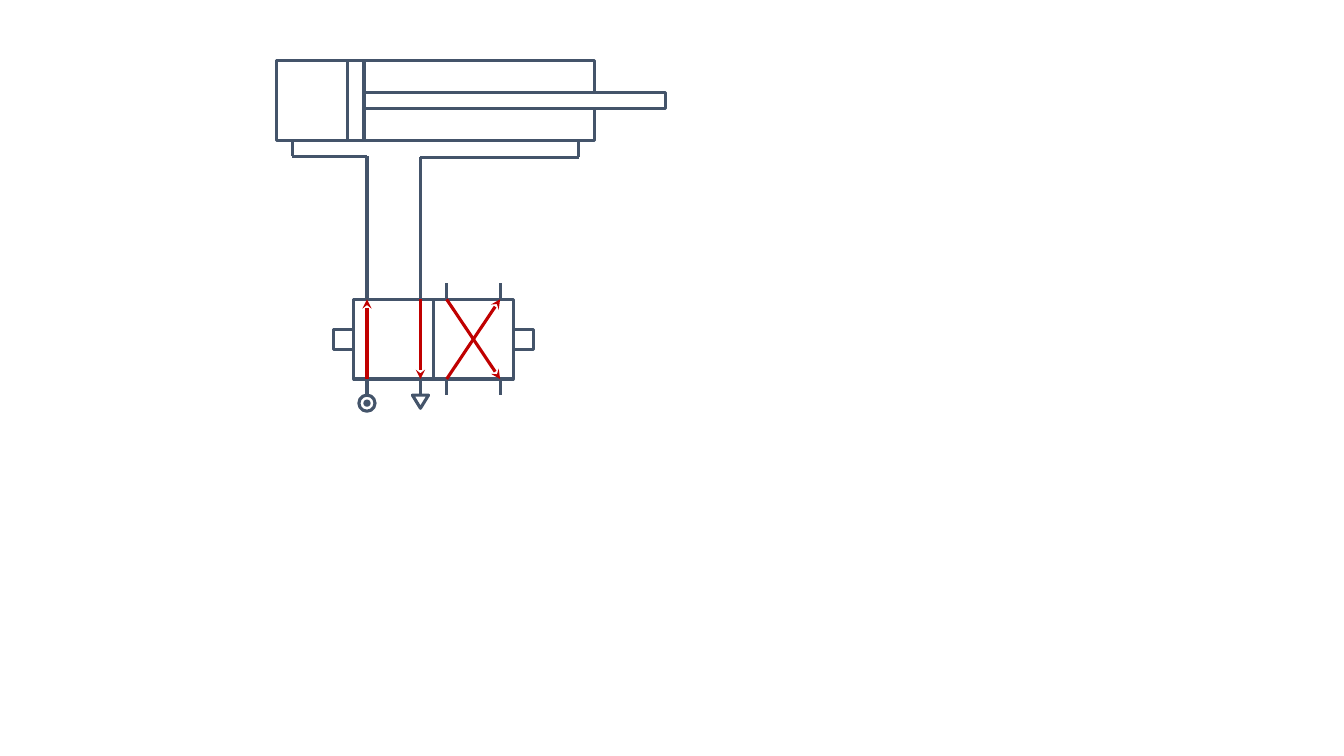
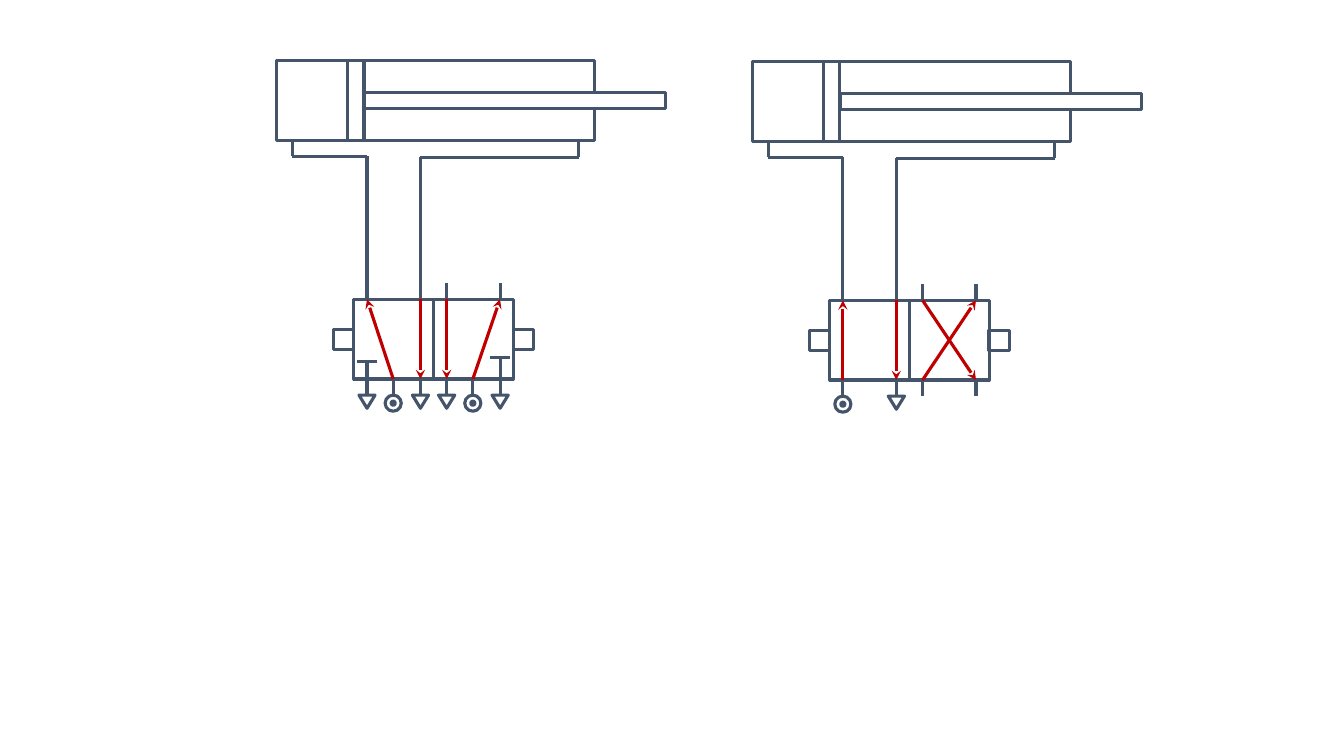
from dataclasses import dataclass

from lxml.etree import SubElement
from pptx import Presentation
from pptx.dml.color import RGBColor
from pptx.enum.shapes import MSO_CONNECTOR as Connector, MSO_SHAPE as Shape
from pptx.oxml.ns import qn
from pptx.util import Inches, Pt


@dataclass(frozen=True)
class Theme:
    ink: str = "44546A"
    flow: str = "C00000"
    paper: str = "FFFFFF"
    line: float = 2.25


THEME = Theme()
SLIDE_SIZE = (13.33, 7.5)

PORTS = {"a": 0.13, "b": 0.39, "c": 0.66, "d": 0.92, "e": 1.18, "f": 1.45}
FOUR_PORT = {
    "leads": "acdf",
    "sources": "a",
    "exhausts": "c",
    "plugs": {},
    "up": ["aa", "df"],
    "down": ["cc", "df"],
}
FIVE_PORT = {
    "leads": "abcdef",
    "sources": "be",
    "exhausts": "acdf",
    "plugs": {"a": 0.62, "f": 0.58},
    "up": ["ba", "ef"],
    "down": ["cc", "dd"],
}
SLIDES = [
    [(FOUR_PORT, 2.74, 0.6)],
    [(FIVE_PORT, 2.74, 0.6), (FOUR_PORT, 7.46, 0.61)],
]

SIDE = 0.79
LEAD = 0.16
ROD_LENGTH = 2.99
BUTTON = 0.2
DOT = 0.04
TRIANGLE_HEIGHT = 0.13
PLUG_WIDTH = 0.2
VALVE_OFFSET = (0.77, 2.37)


def add_box(shapes, kind, left, top, width, height, fill=None, rotation=0):
    shape = shapes.add_shape(kind, *map(Inches, (left, top, width, height)))
    shape.shadow.inherit = False
    shape.rotation = rotation
    if fill:
        shape.fill.solid()
        shape.fill.fore_color.rgb = RGBColor.from_string(fill)
    else:
        shape.fill.background()
    shape.line.color.rgb = RGBColor.from_string(THEME.ink)
    shape.line.width = Pt(THEME.line)


def add_line(shapes, start, end, color=THEME.ink, arrow=False):
    connector = shapes.add_connector(Connector.STRAIGHT, *map(Inches, start + end))
    connector.line.color.rgb = RGBColor.from_string(color)
    connector.line.width = Pt(THEME.line)
    properties = connector._element.spPr
    if arrow:
        SubElement(properties.find(qn("a:ln")), qn("a:tailEnd"), type="stealth")
    SubElement(properties, qn("a:effectLst"))


def add_cylinder(shapes, left, top):
    piston = left + 0.9 * SIDE
    add_box(shapes, Shape.RECTANGLE, left, top, 4 * SIDE, SIDE)
    add_box(shapes, Shape.RECTANGLE, piston, top, LEAD, SIDE)
    add_box(shapes, Shape.RECTANGLE, piston + LEAD, top + (SIDE - LEAD) / 2,
            ROD_LENGTH, LEAD, fill=THEME.paper)


def add_pipes(shapes, left, top):
    valve_left, valve_top = left + VALVE_OFFSET[0], top + VALVE_OFFSET[1]
    bottom = top + SIDE
    for inlet, port, bend in ((0.16, "a", top + 0.95), (3.0, "c", top + 0.96)):
        inlet_x, port_x = left + inlet, valve_left + PORTS[port]
        add_line(shapes, (inlet_x, bottom), (inlet_x, bend))
        add_line(shapes, (inlet_x, bend), (port_x, bend))
        add_line(shapes, (port_x, bend), (port_x, valve_top))


def add_source(shapes, center, top):
    for size, fill in ((LEAD, None), (DOT, THEME.ink)):
        add_box(shapes, Shape.OVAL, center - size / 2, top + (LEAD - size) / 2,
                size, size, fill=fill)


def add_exhaust(shapes, center, top):
    add_box(shapes, Shape.ISOSCELES_TRIANGLE, center - LEAD / 2, top,
            LEAD, TRIANGLE_HEIGHT, rotation=180)


def add_valve(shapes, valve, left, top):
    bottom = top + SIDE
    lead_end = bottom + LEAD
    port_x = {name: left + offset for name, offset in PORTS.items()}
    for column in range(2):
        add_box(shapes, Shape.RECTANGLE, left + column * SIDE, top, SIDE, SIDE)
    for button_left in (left - BUTTON, left + 2 * SIDE):
        add_box(shapes, Shape.RECTANGLE, button_left, top + (SIDE - BUTTON) / 2,
                BUTTON, BUTTON)
    for port in "df":
        add_line(shapes, (port_x[port], top - LEAD), (port_x[port], top))
    for port in valve["leads"]:
        add_line(shapes, (port_x[port], bottom), (port_x[port], lead_end))
    for port in valve["sources"]:
        add_source(shapes, port_x[port], lead_end)
    for port in valve["exhausts"]:
        add_exhaust(shapes, port_x[port], lead_end)
    for port, depth in valve["plugs"].items():
        center, bar = port_x[port], top + depth
        add_line(shapes, (center, bottom), (center, bar))
        add_line(shapes, (center - PLUG_WIDTH / 2, bar), (center + PLUG_WIDTH / 2, bar))
    for direction, start_y, end_y in (("up", bottom, top), ("down", top, bottom)):
        for start, end in valve[direction]:
            add_line(shapes, (port_x[start], start_y), (port_x[end], end_y),
                     color=THEME.flow, arrow=True)


def add_circuit(slide, valve, left, top):
    add_cylinder(slide.shapes.add_group_shape().shapes, left, top)
    add_pipes(slide.shapes.add_group_shape().shapes, left, top)
    add_valve(slide.shapes.add_group_shape().shapes, valve,
              left + VALVE_OFFSET[0], top + VALVE_OFFSET[1])


def main():
    presentation = Presentation()
    presentation.slide_width, presentation.slide_height = map(Inches, SLIDE_SIZE)
    for circuits in SLIDES:
        slide = presentation.slides.add_slide(presentation.slide_layouts[6])
        for valve, left, top in circuits:
            add_circuit(slide, valve, left, top)
    presentation.save("out.pptx")


if __name__ == "__main__":
    main()
